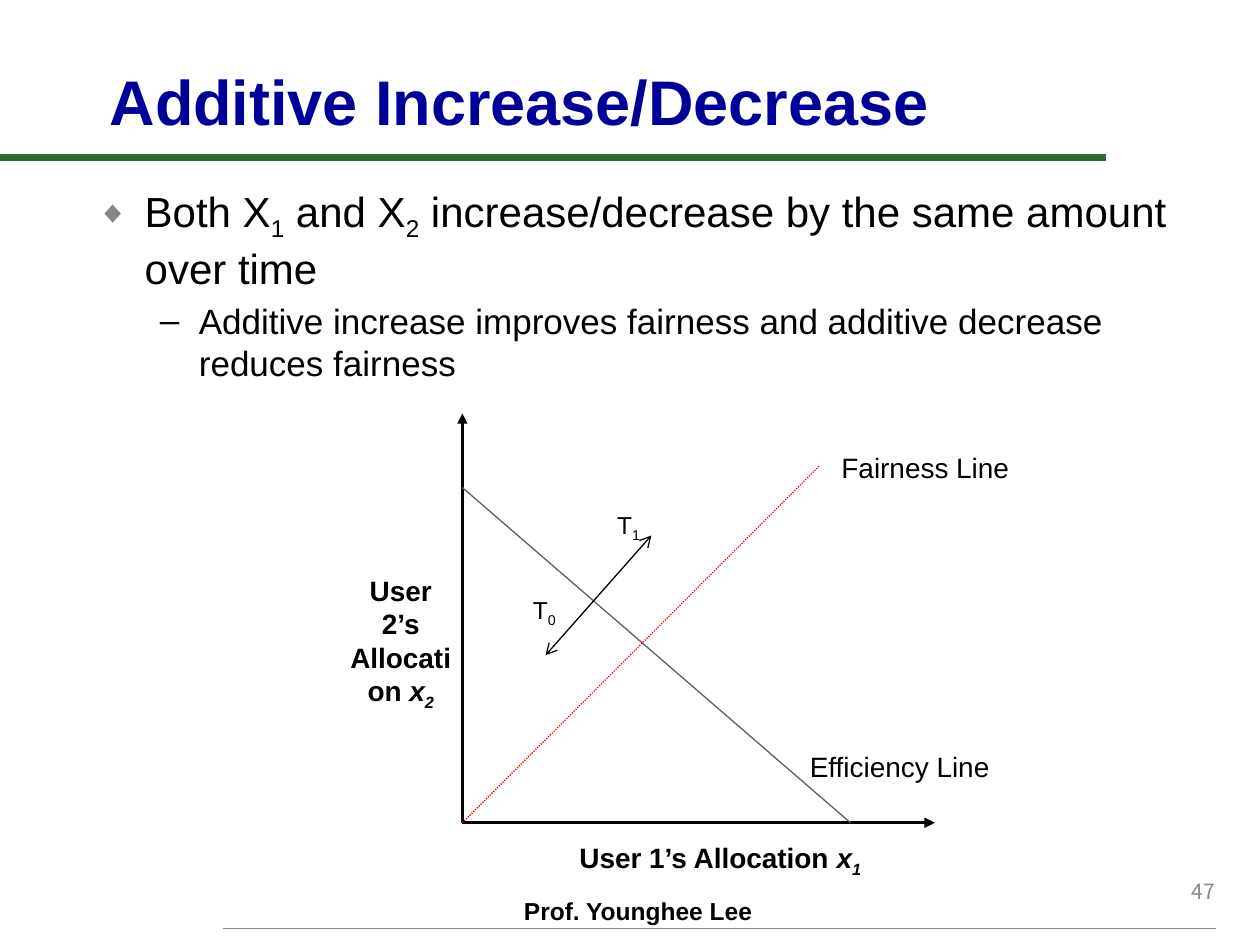
import pptx
import pptx.util
import pptx.dml.color
import pptx.enum.dml
import pptx.enum.shapes
import pptx.enum.text
from lxml import etree
from pptx.oxml.ns import qn

Inches = pptx.util.Inches
Pt = pptx.util.Pt
ALIGN = pptx.enum.text.PP_ALIGN
ANCHOR = pptx.enum.text.MSO_ANCHOR

COLORS = {
    "title": "000099",
    "text": "000000",
    "rule": "336633",
    "gray": "868686",
    "number": "898989",
    "efficiency": "5F5F5F",
    "fairness": "FF0000",
}
ORIGIN = (3.67, 6.53)


def rgb(name):
    return pptx.dml.color.RGBColor.from_string(COLORS[name])


def add_line(slide, start, end, color, width, dash=None, head=None, tail=None):
    line = slide.shapes.add_connector(
        pptx.enum.shapes.MSO_CONNECTOR.STRAIGHT,
        *(Inches(value) for value in start + end))
    line.line.color.rgb = rgb(color)
    line.line.width = Pt(width)
    if dash:
        line.line.dash_style = dash
    outline = line.line._get_or_add_ln()
    for tag, kind in (("a:headEnd", head), ("a:tailEnd", tail)):
        if kind:
            etree.SubElement(outline, qn(tag), type=kind)
    etree.SubElement(line._element.spPr, qn("a:effectLst"))


def style_run(run, size, color="text", bold=False, font="Arial"):
    run.font.name = font
    run.font.size = Pt(size)
    run.font.bold = bold
    run.font.color.rgb = rgb(color)


def write_runs(paragraph, parts, size, **style):
    """Each part is a text, or a text with its marks: "i" italic, "s" subscript."""
    for part in parts:
        text, marks = (part, "") if isinstance(part, str) else part
        run = paragraph.add_run()
        run.text = text
        style_run(run, size, **style)
        if "i" in marks:
            run.font.italic = True
        if "s" in marks:
            run._r.get_or_add_rPr().set("baseline", "-25000")


def add_text_box(slide, box, wrap=True, anchor=ANCHOR.TOP):
    frame = slide.shapes.add_textbox(*map(Inches, box)).text_frame
    frame.word_wrap = wrap
    frame.vertical_anchor = anchor
    return frame


def add_label(slide, box, parts, size, wrap=False, align=ALIGN.LEFT,
              anchor=ANCHOR.TOP, **style):
    paragraph = add_text_box(slide, box, wrap, anchor).paragraphs[0]
    paragraph.alignment = align
    write_runs(paragraph, parts, size, **style)


def set_bullet(paragraph, char, color, margin, hanging, percent=100):
    properties = paragraph._p.get_or_add_pPr()
    properties.set("marL", str(Inches(margin)))
    properties.set("indent", str(-Inches(hanging)))
    bullet_color = etree.SubElement(properties, qn("a:buClr"))
    etree.SubElement(bullet_color, qn("a:srgbClr"), val=COLORS[color])
    etree.SubElement(properties, qn("a:buSzPct"), val=str(percent * 1000))
    etree.SubElement(properties, qn("a:buFont"), typeface="Arial")
    etree.SubElement(properties, qn("a:buChar"), char=char)


def add_title(slide, text):
    title = slide.shapes.title
    title.left, title.top = Inches(0.77), Inches(0.44)
    title.width, title.height = Inches(8.15), Inches(0.71)
    frame = title.text_frame
    frame.text = text
    frame.auto_size = pptx.enum.text.MSO_AUTO_SIZE.NONE
    frame.vertical_anchor = ANCHOR.BOTTOM
    frame.paragraphs[0].alignment = ALIGN.LEFT
    style_run(frame.paragraphs[0].runs[0], 36, "title", bold=True)


def add_points(slide):
    frame = add_text_box(slide, (0.67, 1.42, 8.92, 1.69))
    main_point = frame.paragraphs[0]
    main_point.space_before = Pt(5)
    set_bullet(main_point, "◆", "gray", 0.38, 0.38, 75)
    write_runs(main_point, [
        "Both X", ("1", "s"), " and X", ("2", "s"),
        " increase/decrease by the same amount over time"], 24)
    detail = frame.add_paragraph()
    detail.level = 1
    detail.space_before = Pt(4)
    set_bullet(detail, "–", "text", 0.81, 0.31)
    write_runs(detail, ["Additive increase improves fairness and additive "
                        "decrease reduces fairness"], 20)


def add_diagram(slide):
    for axis_end in ((3.67, 3.28), (7.42, 6.53)):
        add_line(slide, ORIGIN, axis_end, "text", 1.5, tail="triangle")
    add_line(slide, (3.67, 3.87), (6.75, 6.53), "efficiency", 0.75)
    add_line(slide, ORIGIN, (6.5, 3.7), "fairness", 0.75,
             dash=pptx.enum.dml.MSO_LINE.ROUND_DOT)
    add_line(slide, (5.17, 4.25), (4.33, 5.2), "text", 0.75,
             head="arrow", tail="arrow")

    for left, top, index in ((4.13, 4.67, "0"), (4.8, 4, "1")):
        add_label(slide, (left, top, 0.39, 0.34), ["T", (index, "s")], 14)
    add_label(slide, (6.33, 5.9, 1.64, 0.37), ["Efficiency Line"], 16)
    add_label(slide, (6.58, 3.53, 1.55, 0.37), ["Fairness Line"], 16)
    for user, box, wrap, align in (
            ("1", (4.5, 6.62, 2.48, 0.37), False, ALIGN.LEFT),
            ("2", (2.67, 4.5, 1.02, 1.18), True, ALIGN.CENTER)):
        add_label(slide, box,
                  [f"User {user}’s Allocation ", ("x", "i"), (user, "is")],
                  16, wrap=wrap, align=align, bold=True)


def add_frame(slide):
    """Draws the rules, the author line and the page number."""
    add_line(slide, (0, 1.25), (8.78, 1.25), "rule", 4)
    add_line(slide, (1.77, 7.37), (9.65, 7.37), "gray", 1)
    add_label(slide, (4.06, 7.06, 2.08, 0.33), ["Prof. Younghee Lee"], 14,
              wrap=True, bold=True)
    add_label(slide, (7.66, 6.82, 2.08, 0.5), ["47"], 12, wrap=True,
              align=ALIGN.RIGHT, anchor=ANCHOR.MIDDLE, color="number",
              font="Noto Sans CJK KR")


def main():
    deck = pptx.Presentation()
    deck.slide_width, deck.slide_height = Inches(10), Inches(7.5)
    slide = deck.slides.add_slide(deck.slide_layouts[5])
    add_frame(slide)
    add_title(slide, "Additive Increase/Decrease")
    add_diagram(slide)
    add_points(slide)
    deck.save("out.pptx")


if __name__ == "__main__":
    main()
